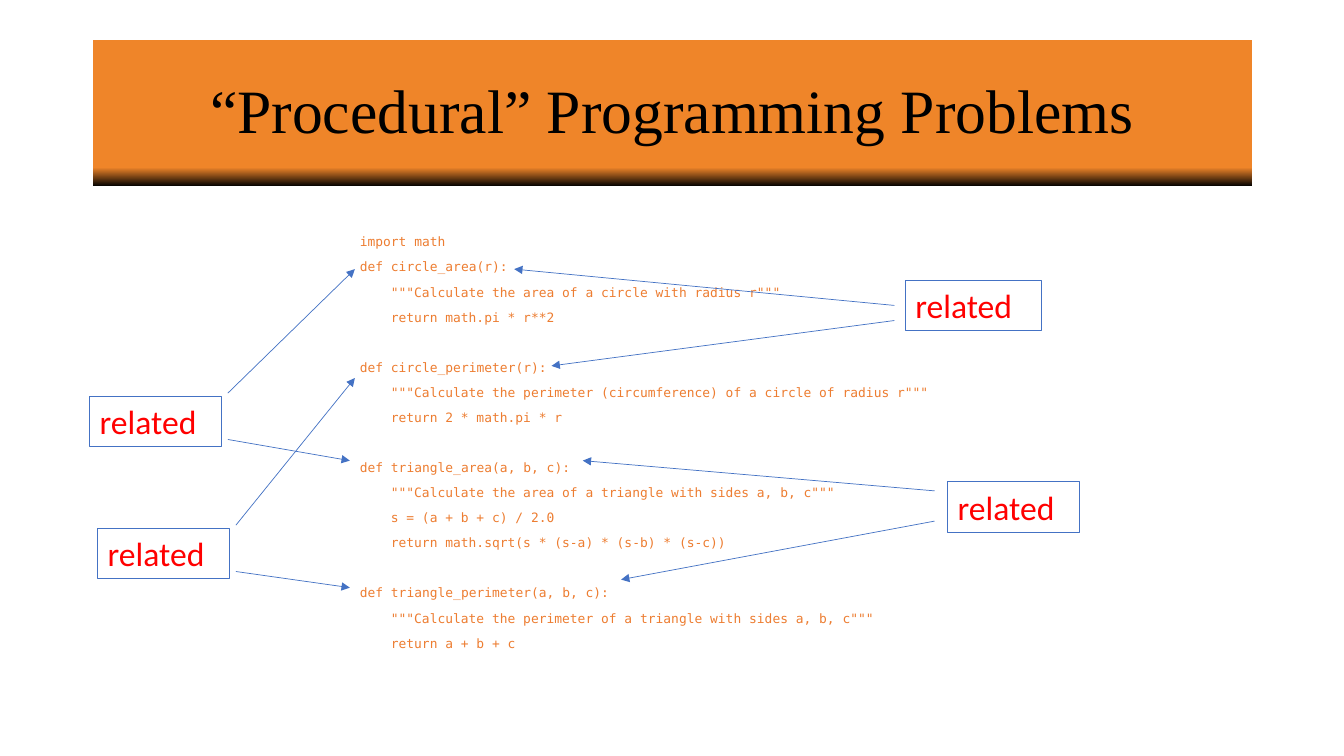
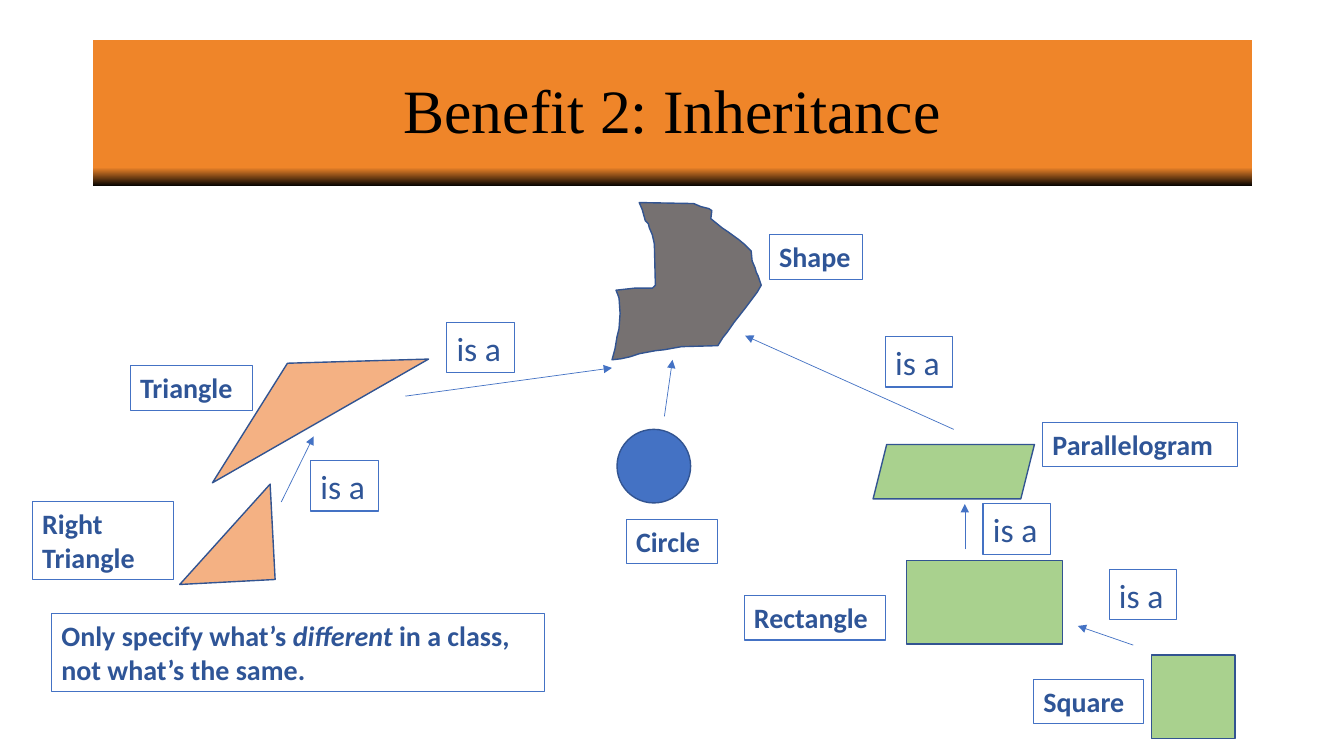
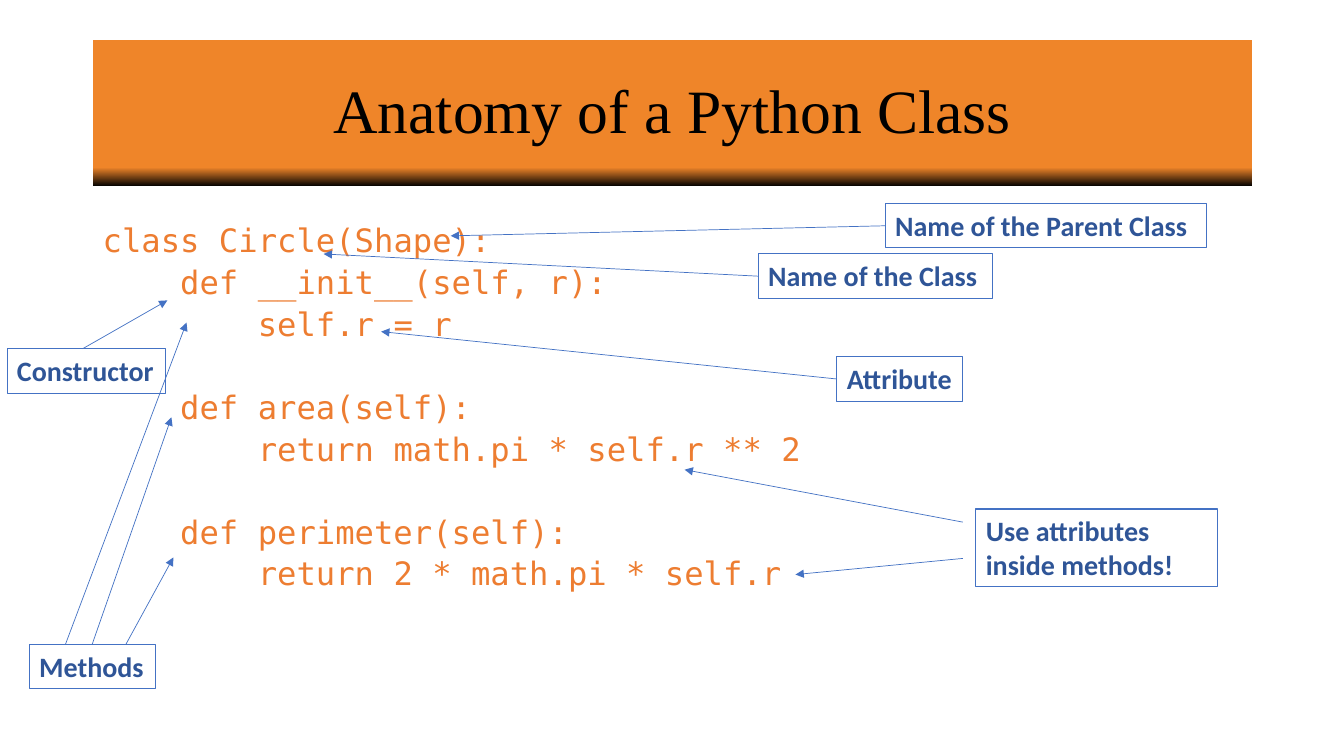
"""Build three slides on classes and inheritance in Python."""

from dataclasses import dataclass

from lxml.etree import SubElement
from pptx import Presentation
from pptx.dml.color import RGBColor as Color
from pptx.enum.shapes import MSO_CONNECTOR as Connector, MSO_SHAPE as Preset
from pptx.enum.text import MSO_ANCHOR as Anchor, PP_ALIGN as Align
from pptx.oxml.ns import qn
from pptx.util import Pt

PX = 9144
MONO_WIDTH = 0.602
MONO_HEIGHT = 1.164


@dataclass(frozen=True)
class Theme:
    band: Color = Color.from_string("EF8529")
    black: Color = Color.from_string("000000")
    code: Color = Color.from_string("ED7D31")
    line: Color = Color.from_string("4472C4")
    outline: Color = Color.from_string("325491")
    label: Color = Color.from_string("2F5597")
    related: Color = Color.from_string("FF0000")
    gray: Color = Color.from_string("767171")
    peach: Color = Color.from_string("F4B183")
    green: Color = Color.from_string("A9D18E")
    title_font: str = "Times New Roman"
    body_font: str = "Calibri"
    code_font: str = "DejaVu Sans Mono"
    title_size: float = 44
    large_size: float = 24
    label_size: float = 20
    small_code_size: float = 9.2
    large_code_size: float = 23


theme = Theme()


def write(slide, box, text, size=theme.label_size, color=theme.label, font=theme.body_font,
          bold=False, italic="", align=Align.LEFT, anchor=Anchor.TOP,
          spacing=1.0, before=0, border=theme.line):
    shape = slide.shapes.add_shape(Preset.RECTANGLE, *[value * PX for value in box])
    shape.shadow.inherit = False
    shape.fill.background()
    if border is None:
        shape.line.fill.background()
    else:
        shape.line.color.rgb = border
        shape.line.width = Pt(0.75)
    frame = shape.text_frame
    frame.word_wrap = True
    frame.vertical_anchor = anchor
    paragraph, gap = None, 0
    for line in text.split("\n"):
        if not line:
            gap = before + size * MONO_HEIGHT * spacing
            continue
        paragraph = frame.add_paragraph() if paragraph else frame.paragraphs[0]
        paragraph.alignment = align
        paragraph.line_spacing = spacing
        paragraph.space_before = Pt(before + gap)
        gap = 0
        content = line.lstrip()
        indent = len(line) - len(content)
        if indent:
            margin = int(indent * MONO_WIDTH * Pt(size))
            paragraph._p.get_or_add_pPr().set("marL", str(margin))
        for part in content.partition(italic) if italic else [content]:
            run = paragraph.add_run()
            run.text = part
            run.font.name = font
            run.font.size = Pt(size)
            run.font.bold = bold
            run.font.italic = bool(italic) and part == italic
            run.font.color.rgb = color
    return shape


def draw_arrow(slide, *ends):
    arrow = slide.shapes.add_connector(Connector.STRAIGHT, *[value * PX for value in ends])
    arrow.line.color.rgb = theme.line
    arrow.line.width = Pt(0.5)
    properties = arrow.element.spPr
    SubElement(properties.find(qn("a:ln")), qn("a:tailEnd"), type="triangle")
    SubElement(properties, qn("a:effectLst"))
    return arrow


presentation = Presentation()
presentation.slide_width = 1333 * PX
presentation.slide_height = 750 * PX

slides = []
for title in ("“Procedural” Programming Problems", "Benefit 2: Inheritance", "Anatomy of a Python Class"):
    slide = presentation.slides.add_slide(presentation.slide_layouts[6])
    band = write(slide, (92, 40, 1150, 145), title, size=theme.title_size, color=theme.black,
                 font=theme.title_font, align=Align.CENTER, anchor=Anchor.MIDDLE,
                 spacing=0.9, border=None)
    band.fill.gradient()
    band.fill.gradient_angle = 90
    for stop, position, color in zip(band.fill.gradient_stops, (0, 0.13), (theme.black, theme.band)):
        stop.position = position
        stop.color.rgb = color
    slides.append(slide)
problems, inheritance, anatomy = slides

functions_code = '''import math
def circle_area(r):
    """Calculate the area of a circle with radius r"""
    return math.pi * r**2

def circle_perimeter(r):
    """Calculate the perimeter (circumference) of a circle of radius r"""
    return 2 * math.pi * r

def triangle_area(a, b, c):
    """Calculate the area of a triangle with sides a, b, c"""
    s = (a + b + c) / 2.0
    return math.sqrt(s * (s-a) * (s-b) * (s-c))

def triangle_perimeter(a, b, c):
    """Calculate the perimeter of a triangle with sides a, b, c"""
    return a + b + c'''

class_code = '''class Circle(Shape):
    def __init__(self, r):
        self.r = r

    def area(self):
        return math.pi * self.r ** 2

    def perimeter(self):
        return 2 * math.pi * self.r'''

for slide, box, code, size in (
    (problems, (347, 231, 732, 430), functions_code, theme.small_code_size),
    (anatomy, (92, 224, 1150, 399), class_code, theme.large_code_size),
):
    write(slide, box, code, size=size, color=theme.code, font=theme.code_font,
          spacing=0.72, before=10, border=None)

for left, top, width in ((898, 278, 135), (940, 478, 131), (97, 524, 131), (89, 393, 131)):
    write(problems, (left, top, width, 50), "related", size=theme.large_size, color=theme.related)

for ends in (
    (887, 303, 510, 267), (887, 318, 547, 363),
    (927, 487, 578, 457), (927, 517, 616, 575),
    (234, 567, 347, 583), (234, 521, 352, 375),
    (226, 436, 347, 457), (226, 390, 352, 267),
):
    draw_arrow(problems, *ends)

blob_points = [
    (634, 201), (688, 202), (695, 205), (703, 207), (706, 209), (705, 217), (716, 226),
    (722, 230), (733, 238), (739, 243), (743, 247), (745, 249), (746, 259), (749, 266),
    (750, 270), (752, 274), (754, 280), (755, 283), (751, 290), (739, 306), (728, 320),
    (721, 330), (717, 335), (712, 343), (676, 344), (659, 347), (650, 348), (634, 351),
    (625, 354), (616, 356), (607, 357), (610, 346), (612, 334), (614, 326), (615, 311),
    (614, 296), (613, 293), (611, 288), (629, 286), (647, 286), (650, 283), (649, 242),
    (647, 233), (644, 226), (643, 222), (640, 219), (637, 208),
]
builder = inheritance.shapes.build_freeform(*blob_points[0], scale=PX)
builder.add_line_segments(blob_points[1:], close=True)
figures = [(builder.convert_to_shape(), theme.gray, 0)]
for preset, box, fill, rotation in (
    (Preset.OVAL, (612, 426, 73, 73), theme.line, 0),
    (Preset.ISOSCELES_TRIANGLE, (178, 356, 247, 66), theme.peach, 330.2),
    (Preset.RECTANGLE, (899, 556, 155, 83), theme.green, 0),
    (Preset.RECTANGLE, (1142, 650, 83, 83), theme.green, 0),
    (Preset.ISOSCELES_TRIANGLE, (181, 519, 134, 67), theme.peach, 132),
    (Preset.PARALLELOGRAM, (866, 441, 160, 54), theme.green, 0),
):
    shape = inheritance.shapes.add_shape(preset, *[value * PX for value in box])
    figures.append((shape, fill, rotation))
for shape, fill, rotation in figures:
    shape.shadow.inherit = False
    shape.fill.solid()
    shape.fill.fore_color.rgb = fill
    shape.line.color.rgb = theme.outline
    shape.line.width = Pt(1)
    shape.rotation = rotation

for ends in (
    (659, 413, 667, 357), (402, 393, 607, 365), (946, 426, 739, 333),
    (279, 498, 311, 433), (957, 545, 957, 500), (1124, 640, 1069, 621),
):
    draw_arrow(inheritance, *ends)

for left, top in ((443, 320), (308, 457), (878, 334), (975, 500), (1100, 565)):
    write(inheritance, (left, top, 67, 50), "is a", size=theme.large_size)

for text, box in (
    ("Shape", (763, 233, 92, 44)),
    ("Circle", (621, 515, 91, 44)),
    ("Triangle", (129, 363, 121, 44)),
    ("Right Triangle", (32, 498, 140, 77)),
    ("Parallelogram", (1034, 419, 193, 44)),
    ("Rectangle", (738, 591, 140, 44)),
    ("Square", (1025, 674, 109, 44)),
):
    write(inheritance, box, text, bold=True)
write(inheritance, (51, 609, 489, 77), "Only specify what’s different in a class, not what’s the same.",
      bold=True, italic="different")

TOP, LEFT = 0, 1
for text, box, arrows in (
    ("Name of the Class", (752, 252, 232, 44), [(LEFT, (752, 274, 321, 252))]),
    ("Name of the Parent Class", (878, 202, 319, 44), [(LEFT, (878, 224, 447, 234))]),
    ("Attribute", (830, 354, 125, 44), [(LEFT, (830, 376, 378, 329))]),
    ("Methods", (29, 639, 125, 44), [(None, (65, 639, 185, 320)), (TOP, (92, 639, 170, 414)),
                                     (None, (125, 639, 172, 553))]),
    ("Use attributes inside methods!", (968, 505, 240, 77), [(None, (955, 518, 679, 466)),
                                                             (None, (955, 554, 789, 570))]),
    ("Constructor", (7, 346, 157, 44), [(None, (82, 346, 166, 298))]),
):
    label = write(anatomy, box, text, bold=True)
    for side, ends in arrows:
        arrow = draw_arrow(anatomy, *ends)
        if side is not None:
            arrow.begin_connect(label, side)

presentation.save("out.pptx")
